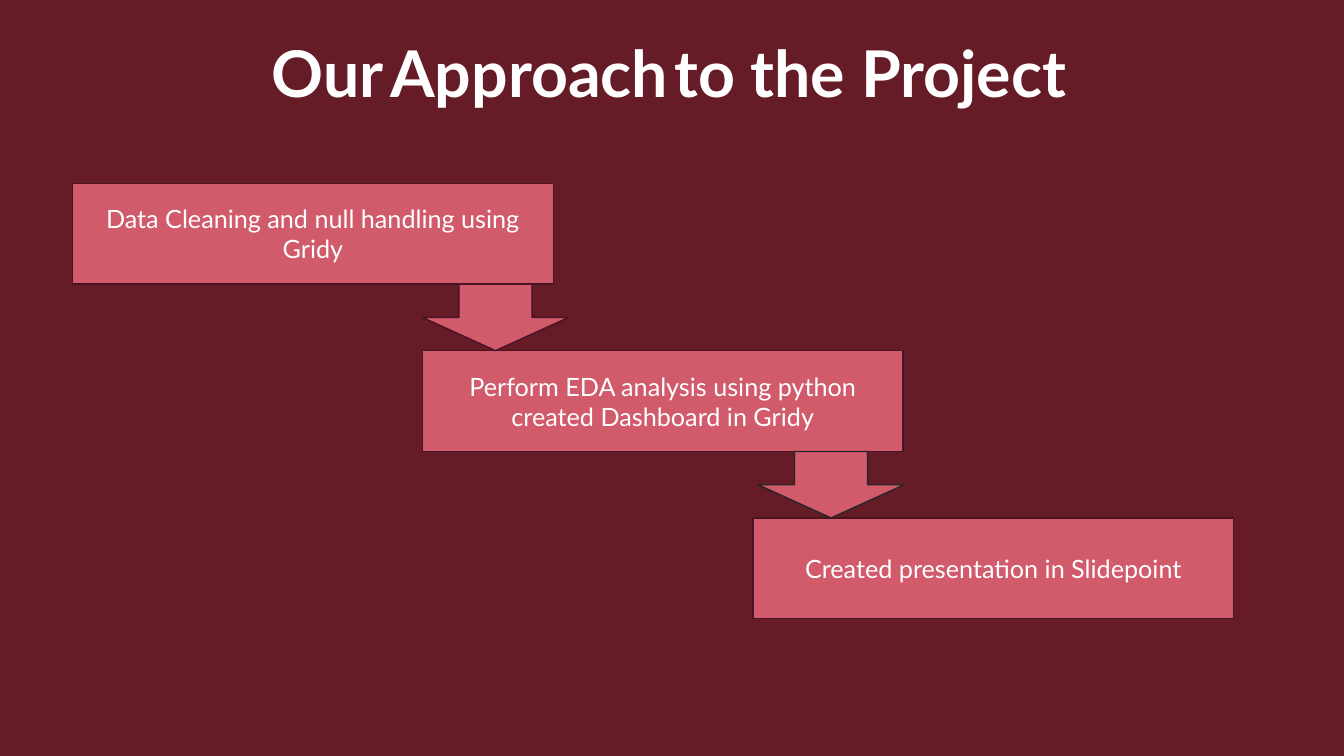
from pptx import Presentation
from pptx.dml.color import RGBColor
from pptx.enum import shapes, text
from pptx.util import Pt

COLORS = {
    "background": "651C27",
    "step": "D15A6B",
    "border": "491324",
    "dark_border": "262626",
    "text": "FFFFFF",
}
TITLE_FORMAT = {"name": "Lato", "size": Pt(46), "bold": True}
GAP_FORMAT = {"name": "Lato", "size": Pt(18), "bold": False}
STEP_FORMAT = {"name": "Lato", "size": Pt(18), "bold": False}

STEP_WIDTH, STEP_HEIGHT = 343.5, 72
ARROW_WIDTH, ARROW_HEIGHT = 104.5, 47.5
STEPS_TOP = 131
STEPS = [
    (51.8, "Data Cleaning and null handling using Gridy"),
    (301.7, "Perform EDA analysis using python created Dashboard in Gridy"),
    (537.8, "Created presentation in Slidepoint"),
]
ARROWS = [(301.7, "border"), (541.4, "dark_border")]


def color(name):
    return RGBColor.from_string(COLORS[name])


def format_font(font, values):
    for name, value in values.items():
        setattr(font, name, value)
    font.color.rgb = color("text")


def add_title(page, left, top, width, height):
    """Place the title, whose first two word gaps are set in a smaller size."""
    box = page.shapes.add_textbox(Pt(left), Pt(top), Pt(width), Pt(height))
    box.text_frame.word_wrap = False
    box.text_frame.auto_size = text.MSO_AUTO_SIZE.SHAPE_TO_FIT_TEXT
    para = box.text_frame.paragraphs[0]
    for words in ("Our", " ", "Approach", " ", "to the Project"):
        span = para.add_run()
        span.text = words
        format_font(span.font, TITLE_FORMAT if words.strip() else GAP_FORMAT)


def add_block(page, kind, left, top, width, height, border):
    block = page.shapes.add_shape(kind, Pt(left), Pt(top), Pt(width), Pt(height))
    block.shadow.inherit = False
    block.fill.solid()
    block.fill.fore_color.rgb = color("step")
    block.line.color.rgb = color(border)
    block.line.width = Pt(1)
    return block


def add_step(page, left, top, words):
    box = add_block(page, shapes.MSO_SHAPE.RECTANGLE, left, top,
                    STEP_WIDTH, STEP_HEIGHT, "border")
    frame = box.text_frame
    frame.word_wrap = True
    frame.vertical_anchor = text.MSO_ANCHOR.MIDDLE
    para = frame.paragraphs[0]
    para.alignment = text.PP_ALIGN.CENTER
    span = para.add_run()
    span.text = words
    format_font(span.font, STEP_FORMAT)


def add_staircase(page, top):
    """Place the steps downwards from top, with an arrow filling each gap."""
    pitch = STEP_HEIGHT + ARROW_HEIGHT
    for index, (left, words) in enumerate(STEPS):
        add_step(page, left, top + index * pitch, words)
    for index, (left, border) in enumerate(ARROWS):
        add_block(page, shapes.MSO_SHAPE.DOWN_ARROW, left,
                  top + index * pitch + STEP_HEIGHT,
                  ARROW_WIDTH, ARROW_HEIGHT, border)


def main():
    deck = Presentation()
    deck.slide_width, deck.slide_height = Pt(960), Pt(540)
    page = deck.slides.add_slide(deck.slide_layouts[6])
    page.background.fill.solid()
    page.background.fill.fore_color.rgb = color("background")
    add_title(page, 187.2, 20.2, 614.9, 63.4)
    add_staircase(page, STEPS_TOP)
    deck.save("out.pptx")


if __name__ == "__main__":
    main()
